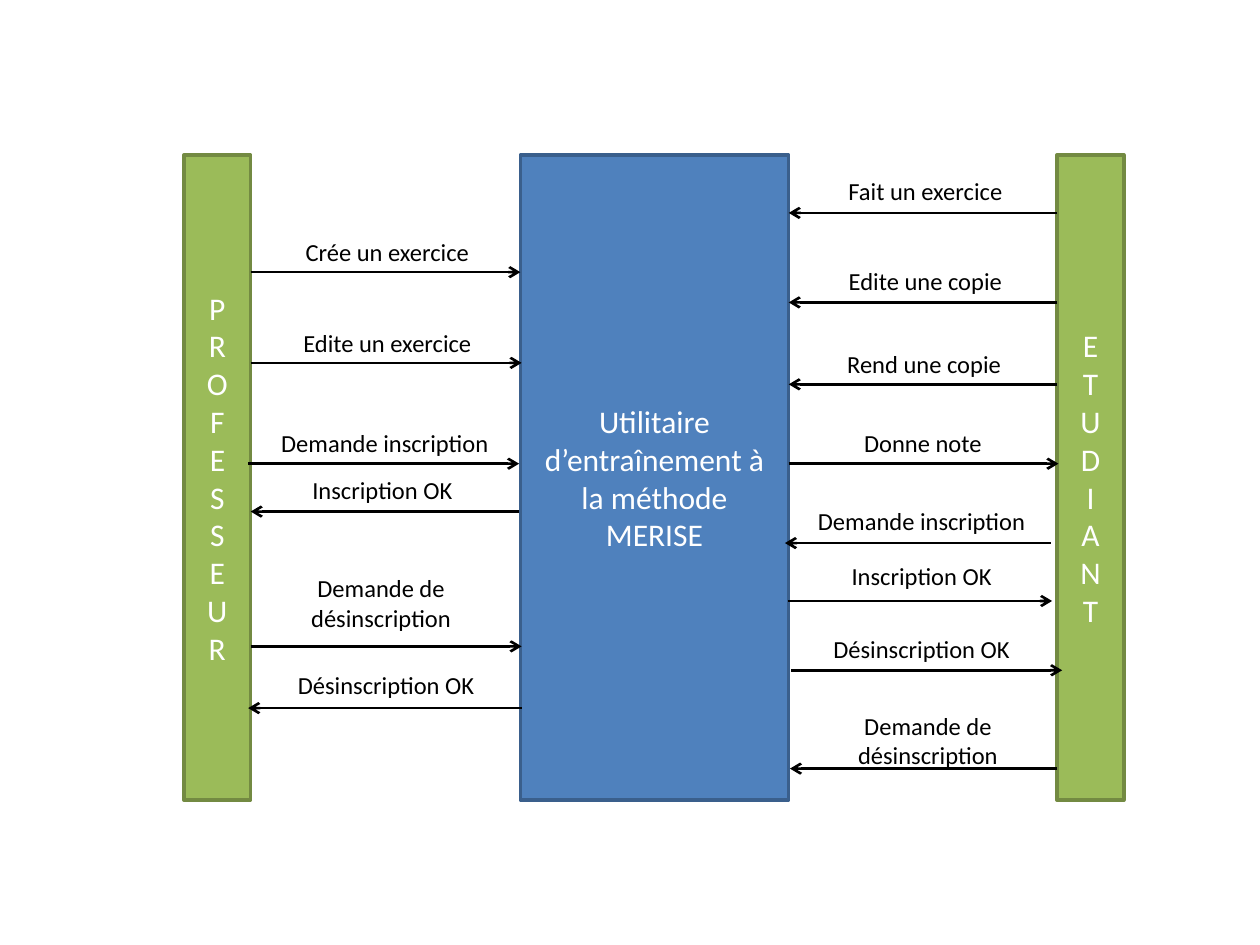
from lxml.etree import SubElement
from pptx import Presentation
from pptx.dml.color import RGBColor
from pptx.enum.shapes import MSO_CONNECTOR as Connector, MSO_SHAPE as Shape
from pptx.enum.text import MSO_ANCHOR as Anchor, MSO_AUTO_SIZE as AutoSize, PP_ALIGN as Align
from pptx.oxml.ns import qn
from pptx.util import Inches, Pt

COLORS = {"blue": "4F81BD", "blue_edge": "3A5F8C", "green": "9BBB59",
          "green_edge": "738A42", "white": "FFFFFF", "black": "000000"}
FONT = "Calibri"
BAR_TOP, BAR_HEIGHT = 1.23, 5.12
LABEL_WIDTH = 2.13
LINE_HEIGHT, PADDING = 0.235, 0.1

# text, left, width, colour, vertical lettering
BARS = [
    ("Utilitaire d’entraînement à la méthode MERISE", 4.13, 2.13, "blue", False),
    ("ETUDIANT", 8.39, 0.53, "green", True),
    ("PROFESSEUR", 1.46, 0.53, "green", True),
]

# text, text lines, label left, label top, arrow start x, arrow end x, arrow y
MESSAGES = [
    # professor and tool
    ("Crée un exercice", 1, 2.01, 1.83, 1.99, 4.13, 2.16),
    ("Edite un exercice", 1, 2.01, 2.55, 1.99, 4.14, 2.88),
    ("Demande inscription", 1, 1.99, 3.35, 1.97, 4.12, 3.68),
    ("Inscription OK", 1, 1.97, 3.72, 4.12, 1.99, 4.06),
    ("Demande de désinscription", 2, 1.96, 4.5, 1.99, 4.14, 5.13),
    ("Désinscription OK", 1, 2.0, 5.27, 4.14, 1.97, 5.62),
    # tool and student
    ("Fait un exercice", 1, 6.28, 1.35, 8.39, 6.26, 1.69),
    ("Edite une copie", 1, 6.28, 2.06, 8.39, 6.26, 2.4),
    ("Rend une copie", 1, 6.27, 2.72, 8.39, 6.26, 3.05),
    ("Donne note", 1, 6.26, 3.35, 6.26, 8.4, 3.68),
    ("Demande inscription", 1, 6.25, 3.97, 8.34, 6.23, 4.31),
    ("Inscription OK", 1, 6.25, 4.4, 6.25, 8.35, 4.77),
    ("Désinscription OK", 1, 6.25, 4.98, 6.28, 8.43, 5.32),
    ("Demande de désinscription", 2, 6.3, 5.59, 8.39, 6.27, 6.1),
]


def rgb(name):
    """Return the named colour."""
    return RGBColor.from_string(COLORS[name])


def write(shape, text, size, color):
    """Put one centred paragraph into a shape."""
    frame = shape.text_frame
    frame.word_wrap = True
    frame.text = text
    para = frame.paragraphs[0]
    para.alignment = Align.CENTER
    font = para.runs[0].font
    font.name, font.size = FONT, Pt(size)
    font.color.rgb = rgb(color)
    return frame


def add_bar(slide, text, left, width, color, vertical):
    """Draw an actor or the tool as a tall rectangle."""
    bar = slide.shapes.add_shape(Shape.RECTANGLE, Inches(left), Inches(BAR_TOP),
                                 Inches(width), Inches(BAR_HEIGHT))
    bar.shadow.inherit = False
    bar.fill.solid()
    bar.fill.fore_color.rgb = rgb(color)
    bar.line.color.rgb = rgb(color + "_edge")
    bar.line.width = Pt(2)
    frame = write(bar, text, 18, "white")
    frame.vertical_anchor = Anchor.MIDDLE
    if vertical:
        bar.text_frame._txBody.bodyPr.set("vert", "wordArtVert")


def add_arrow(slide, start, end, y):
    """Draw a horizontal arrow with an open head at its end."""
    arrow = slide.shapes.add_connector(Connector.STRAIGHT, Inches(start), Inches(y),
                                       Inches(end), Inches(y))
    arrow.line.color.rgb = rgb("black")
    arrow.line.width = Pt(1.5)
    SubElement(arrow.line._get_or_add_ln(), qn("a:tailEnd"), type="arrow")
    SubElement(arrow._element.spPr, qn("a:effectLst"))


def add_label(slide, text, lines, left, top):
    """Write a message name above its arrow."""
    label = slide.shapes.add_textbox(Inches(left), Inches(top), Inches(LABEL_WIDTH),
                                     Inches(PADDING + lines * LINE_HEIGHT))
    write(label, text, 14, "black").auto_size = AutoSize.SHAPE_TO_FIT_TEXT


deck = Presentation()
deck.slide_width, deck.slide_height = Inches(10), Inches(7.5)
page = deck.slides.add_slide(deck.slide_layouts[6])
for bar_data in BARS:
    add_bar(page, *bar_data)
for text, lines, left, top, start, end, y in MESSAGES:
    add_arrow(page, start, end, y)
    add_label(page, text, lines, left, top)
deck.save("out.pptx")
